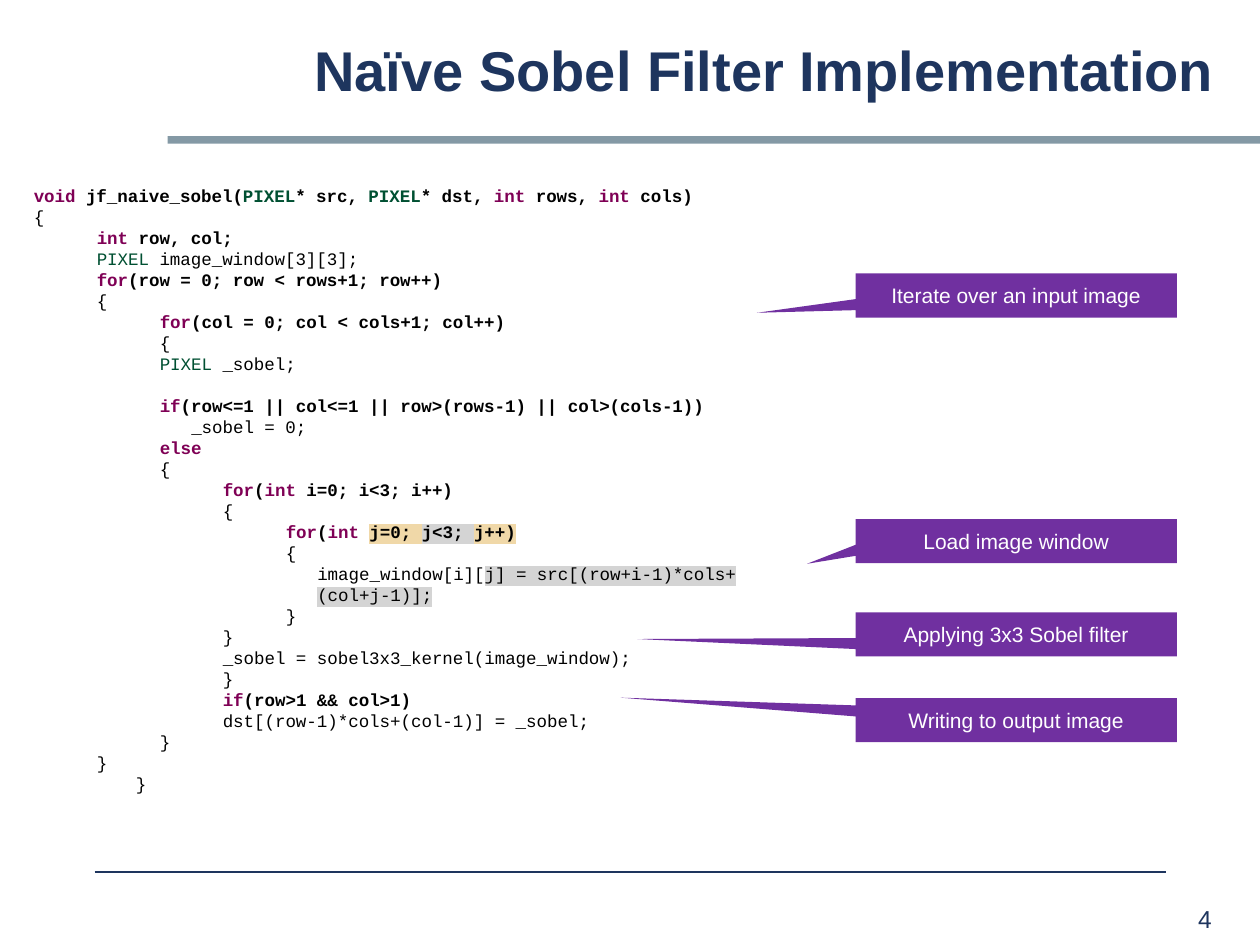
from dataclasses import dataclass

from lxml import etree
from pptx import Presentation
from pptx import util as u
from pptx.dml.color import RGBColor
from pptx.enum import shapes, text
from pptx.oxml.ns import qn

NAVY, GREY, PURPLE, WHITE = "1E355E", "8499A5", "7030A0", "FFFFFF"
KEYWORD, TYPE, PLAIN = "7F0055", "005032", "000000"
AMBER, SILVER = "F0D8A8", "D4D4D4"


@dataclass
class Callout:
    label: str
    top: float
    tip: tuple[float, float]


@dataclass
class Token:
    words: str
    color: str = PLAIN
    highlight: str = ""


@dataclass
class Line:
    level: int
    bold: bool
    tokens: list[Token]


def key(words: str) -> Token:
    return Token(words, KEYWORD)


def kind(words: str) -> Token:
    return Token(words, TYPE)


def code(level: int, *tokens: Token | str, bold: bool = False) -> Line:
    return Line(level, bold, [Token(t) if isinstance(t, str) else t for t in tokens])


CALLOUTS = [
    Callout("Iterate over an input image", 2.17, (-0.807, 0.393)),
    Callout("Load image window", 4.12, (-0.651, 0.513)),
    Callout("Applying 3x3 Sobel filter", 4.86, (-1.179, 0.106)),
    Callout("Writing to output image", 5.54, (-1.231, -0.509)),
]

# Left margin and first-line indent of each code level
INDENTS = [(0, 0), (0.81, -0.31), (1.25, -0.25), (1.75, -0.25), (2.25, -0.25), (0.81, 0)]
CLOSING = 5

LINES = [
    code(0, key("void "), "jf_naive_sobel(", kind("PIXEL"), "* src, ", kind("PIXEL"),
         "* dst, ", key("int"), " rows, ", key("int"), " cols)", bold=True),
    code(0, "{"),
    code(1, key("int"), " row, col;", bold=True),
    code(1, kind("PIXEL "), "image_window[3][3];"),
    code(1, key("for"), "(row = 0; row < rows+1; row++)", bold=True),
    code(1, "{"),
    code(2, key("for"), "(col = 0; col < cols+1; col++)", bold=True),
    code(2, "{"),
    code(2, kind("PIXEL "), "_sobel;"),
    code(2),
    code(2, key("if"), "(row<=1 || col<=1 || row>(rows-1) || col>(cols-1))", bold=True),
    code(2, "\t_sobel = 0;"),
    code(2, key("else"), bold=True),
    code(2, "{"),
    code(3, key("for"), "(", key("int"), " i=0; i<3; i++)", bold=True),
    code(3, "{"),
    code(4, key("for"), "(", key("int "), Token("j=0; ", highlight=AMBER),
         Token("j<3; ", highlight=SILVER), Token("j++)", highlight=AMBER), bold=True),
    code(4, "{"),
    code(4, "\timage_window[i][",
         Token("j] = src[(row+i-1)*cols+(col+j-1)];", highlight=SILVER)),
    code(4, "}"),
    code(3, "}"),
    code(3, "_sobel = sobel3x3_kernel(image_window);"),
    code(3, "}"),
    code(3, key("if"), "(row>1 && col>1)", bold=True),
    code(3, "dst[(row-1)*cols+(col-1)] = _sobel;"),
    code(2, "}"),
    code(1, "}"),
    code(CLOSING, "}"),
]


def rgb(value: str) -> RGBColor:
    return RGBColor.from_string(value)


def inches(*values: float) -> list[u.Inches]:
    return [u.Inches(value) for value in values]


def style(font, size: float, color: str, bold: bool = False, name: str = "Arial") -> None:
    font.size, font.bold, font.name = u.Pt(size), bold, name
    font.color.rgb = rgb(color)


def add_block(page, preset, area: tuple, color: str):
    shape = page.shapes.add_shape(preset, *inches(*area))
    shape.shadow.inherit = False
    shape.fill.solid()
    shape.fill.fore_color.rgb = rgb(color)
    shape.line.fill.background()
    return shape


def add_label(page, words: str, area: tuple, size: float, bold: bool = False):
    box = page.shapes.add_textbox(*inches(*area))
    box.text_frame.word_wrap = True
    box.text_frame.text = words
    para = box.text_frame.paragraphs[0]
    para.line_spacing = 0.88
    style(para.runs[0].font, size, NAVY, bold)
    return box


def add_callout(page, callout: Callout) -> None:
    shape = add_block(page, shapes.MSO_SHAPE.RECTANGULAR_CALLOUT,
                      (6.79, callout.top, 2.55, 0.35), PURPLE)
    shape.adjustments[0], shape.adjustments[1] = callout.tip
    shape.text_frame.text = callout.label
    shape.text_frame.vertical_anchor = text.MSO_ANCHOR.MIDDLE
    para = shape.text_frame.paragraphs[0]
    para.alignment = text.PP_ALIGN.CENTER
    style(para.runs[0].font, 12, WHITE)


def add_token(para, token: Token, bold: bool) -> None:
    span = para.add_run()
    span.text = token.words
    style(span.font, 10, token.color, bold, "Courier New")
    if token.highlight:
        mark = etree.Element(qn("a:highlight"))
        etree.SubElement(mark, qn("a:srgbClr"), val=token.highlight)
        span.font._element.find(qn("a:solidFill")).addnext(mark)


def add_code(page, lines: list[Line]) -> None:
    box = page.shapes.add_textbox(*inches(0.17, 1.42, 6.67, 4.98))
    frame = box.text_frame
    frame.word_wrap = True
    for number, line in enumerate(lines):
        para = frame.add_paragraph() if number else frame.paragraphs[0]
        margin, indent = inches(*INDENTS[line.level])
        properties = para._p.get_or_add_pPr()
        properties.set("marL", str(margin))
        properties.set("indent", str(indent))
        para.line_spacing = u.Pt(12)
        para.font.size = u.Pt(10)
        for token in line.tokens:
            add_token(para, token, line.bold)


def main() -> None:
    deck = Presentation()
    deck.slide_width, deck.slide_height = inches(10, 7.5)
    page = deck.slides.add_slide(deck.slide_layouts[6])

    # Header bar, footer rule and page number
    add_block(page, shapes.MSO_SHAPE.RECTANGLE, (1.33, 1.08, 8.67, 0.06), GREY)
    rule = page.shapes.add_connector(shapes.MSO_CONNECTOR.STRAIGHT,
                                     *inches(0.75, 6.92, 9.25, 6.92))
    rule.line.color.rgb = rgb(NAVY)
    rule.line.width = u.Pt(0.75)
    etree.SubElement(rule._element.spPr, qn("a:effectLst"))
    add_label(page, "4", (9.41, 7.16, 0.65, 0.26), 14)

    # Title
    title = add_label(page, "Naïve Sobel Filter Implementation",
                      (1.33, 0.17, 8.41, 0.83), 32, True)
    title.text_frame.vertical_anchor = text.MSO_ANCHOR.MIDDLE
    title.text_frame.paragraphs[0].alignment = text.PP_ALIGN.RIGHT

    # Callouts and the code they point to
    for callout in CALLOUTS:
        add_callout(page, callout)
    add_code(page, LINES)

    deck.save("out.pptx")


if __name__ == "__main__":
    main()
